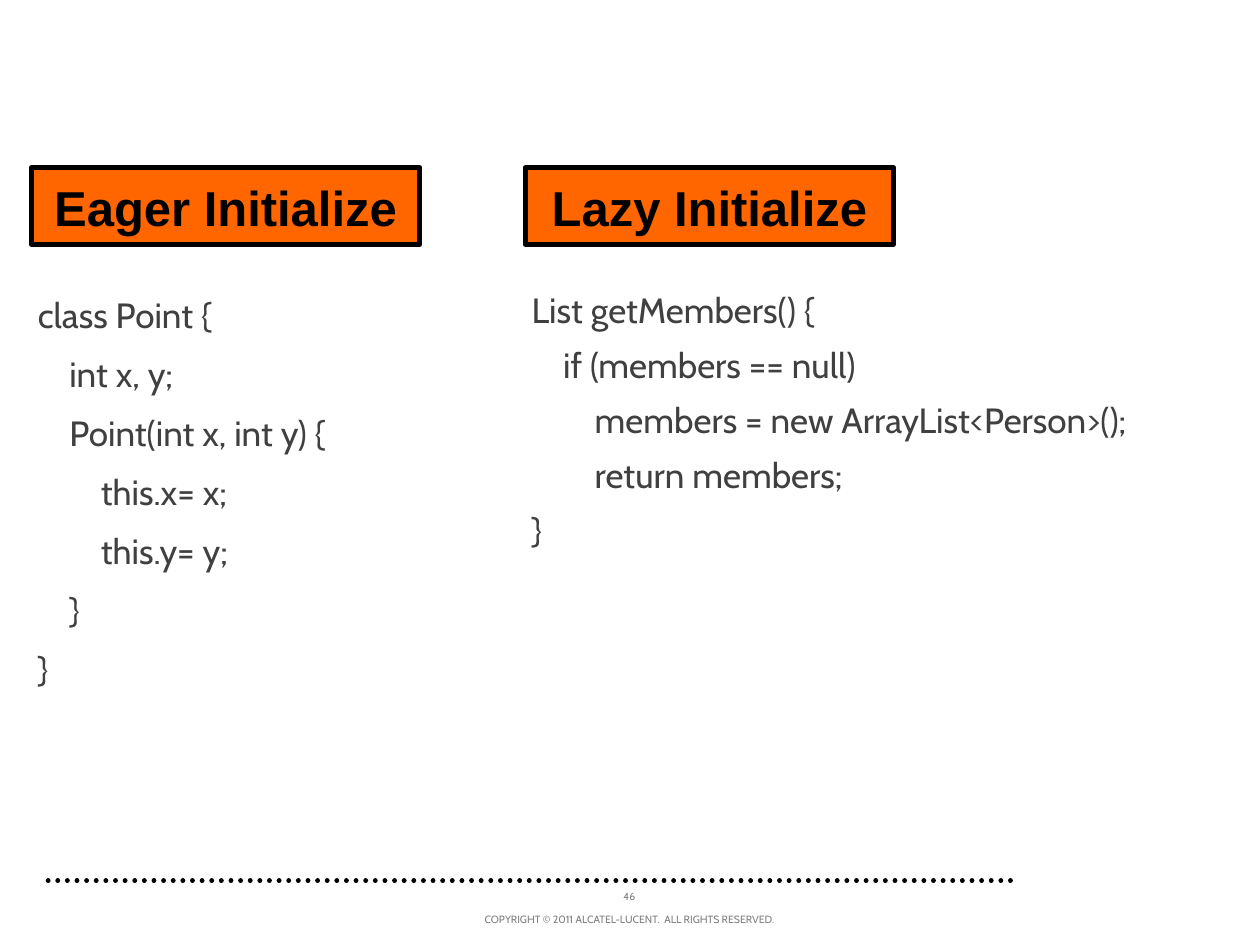
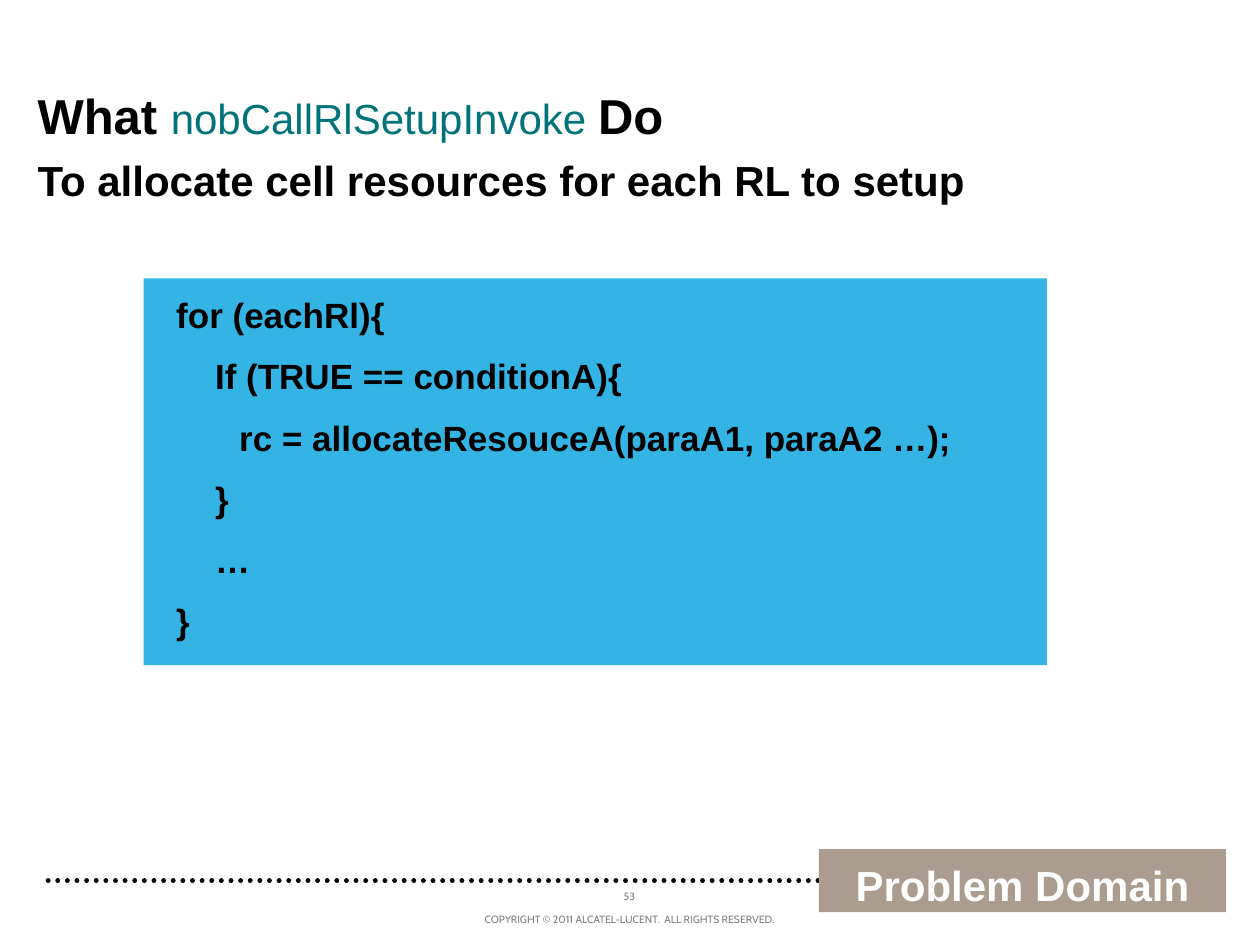
import pptx
import pptx.dml.color
import pptx.enum.dml
import pptx.enum.shapes
import pptx.enum.text
import pptx.oxml
import pptx.oxml.ns
import pptx.util
from dataclasses import dataclass

Inches = pptx.util.Inches
Pt = pptx.util.Pt
Align = pptx.enum.text.PP_ALIGN
Anchor = pptx.enum.text.MSO_ANCHOR

# Content
COPYRIGHT = "COPYRIGHT © 2011 ALCATEL-LUCENT.  ALL RIGHTS RESERVED."

INITIALIZERS = [
    {"heading": "Eager Initialize", "left": 0.25, "heading_width": 3.08,
     "code_size": (2.89, 3.68), "line_spacing": 1.0,
     "code": ["class Point {",
              "    int x, y;",
              "    Point(int x, int y) {",
              "        this.x= x;",
              "        this.y= y;",
              "    }",
              "}"]},
    {"heading": "Lazy Initialize", "left": 4.17, "heading_width": 2.92,
     "code_size": (5.67, 2.92), "line_spacing": 0.9,
     "code": ["List getMembers() {",
              "    if (members == null)",
              "        members = new ArrayList<Person>();",
              "        return members;",
              "}"]},
]

QUESTION = ("What ", "nobCallRlSetupInvoke ", "Do")
ANSWER = "To allocate cell resources for each RL to setup"
LOOP_CODE = ["for (eachRl){",
             "    If (TRUE == conditionA){",
             "\trc = allocateResouceA(paraA1, paraA2 …);",
             "    }",
             "    …",
             "}"]
DOMAIN_TAG = "Problem Domain"


@dataclass(frozen=True)
class Theme:
    black: str = "000000"
    white: str = "FFFFFF"
    code_grey: str = "404040"
    page_grey: str = "808080"
    copyright_grey: str = "7F7F7F"
    orange: str = "FF6600"
    blue: str = "34B4E4"
    teal: str = "00747A"
    taupe: str = "AA9C8F"
    heading_font: str = "Arial"
    body_font: str = "Cabin"
    title: int = 28
    subtitle: int = 24
    code: int = 20
    footer: int = 6
    label_insets: tuple = (0.1, 0.08, 0.1, 0)
    footer_insets: tuple = (0.1, 0.05, 0.1, 0.05)
    code_insets: tuple = (0.05, 0, 0, 0)


THEME = Theme()


def rgb(colour):
    return pptx.dml.color.RGBColor.from_string(colour)


def style_font(font, size, colour, face, bold=False):
    font.size = Pt(size)
    font.color.rgb = rgb(colour)
    font.name = face
    font.bold = bold


def write(shape, lines, size, colour, face=THEME.heading_font, bold=False,
          align=Align.LEFT, anchor=Anchor.TOP, insets=THEME.label_insets,
          before=0, after=0, line_spacing=1.0):
    frame = shape.text_frame
    frame.word_wrap = True
    frame.vertical_anchor = anchor
    (frame.margin_left, frame.margin_top,
     frame.margin_right, frame.margin_bottom) = map(Inches, insets)
    for index, line in enumerate(lines):
        paragraph = frame.add_paragraph() if index else frame.paragraphs[0]
        paragraph.add_run().text = line
        paragraph.alignment = align
        paragraph.line_spacing = line_spacing
        paragraph.space_before = Pt(before if index else 0)
        paragraph.space_after = Pt(after)
        style_font(paragraph.font, size, colour, face, bold)


def add_text(slide, place, lines, size, colour, **options):
    box = slide.shapes.add_textbox(*map(Inches, place))
    write(box, lines, size, colour, **options)


def add_panel(slide, place, fill, border=None):
    panel = slide.shapes.add_shape(
        pptx.enum.shapes.MSO_SHAPE.RECTANGLE, *map(Inches, place))
    panel.shadow.inherit = False
    panel.fill.solid()
    panel.fill.fore_color.rgb = rgb(fill)
    if border:
        panel.line.color.rgb = rgb(border)
        panel.line.width = Pt(3)
    else:
        panel.line.fill.background()
    return panel


def add_footer(slide, page):
    dots = slide.shapes.add_connector(
        pptx.enum.shapes.MSO_CONNECTOR.STRAIGHT,
        *map(Inches, (8.02, 6.99, 0.34, 6.99)))
    dots.line.color.rgb = rgb(THEME.black)
    dots.line.width = Pt(2.75)
    dots.line.dash_style = pptx.enum.dml.MSO_LINE.ROUND_DOT
    properties = dots._element.spPr
    properties.find(pptx.oxml.ns.qn("a:ln")).set("cap", "rnd")
    properties.append(pptx.oxml.parse_xml(
        f"<a:effectLst {pptx.oxml.ns.nsdecls('a')}/>"))

    small = {"face": THEME.body_font, "align": Align.CENTER,
             "insets": THEME.footer_insets}
    add_text(slide, (4.73, 6.95, 0.53, 0.26), [str(page)], THEME.footer,
             THEME.page_grey, anchor=Anchor.BOTTOM, **small)
    add_text(slide, (1.49, 7.2, 7.01, 0.25), [COPYRIGHT], THEME.footer,
             THEME.copyright_grey, **small)


def new_slide(deck, page):
    slide = deck.slides.add_slide(deck.slide_layouts[6])
    add_footer(slide, page)
    return slide


def build_initializers(deck):
    slide = new_slide(deck, 46)
    for side in INITIALIZERS:
        add_text(slide, (side["left"], 2.33, *side["code_size"]), side["code"],
                 THEME.code, THEME.code_grey, face=THEME.body_font,
                 insets=THEME.code_insets, before=3.7, after=6,
                 line_spacing=side["line_spacing"])
        heading = add_panel(slide, (side["left"], 1.33, side["heading_width"], 0.61),
                            THEME.orange, THEME.black)
        write(heading, [side["heading"]], THEME.title, THEME.black,
              bold=True, align=Align.CENTER)


def build_problem_domain(deck):
    slide = new_slide(deck, 53)

    # Loop listing on its panel
    add_panel(slide, (1.14, 2.21, 7.17, 3.07), THEME.blue)
    add_text(slide, (1.3, 2.25, 7.32, 2.93), LOOP_CODE, THEME.code,
             THEME.black, bold=True, before=11)

    # Question, with the function name set apart, and its answer
    question = slide.shapes.add_textbox(*map(Inches, (0.2, 0.6, 6.61, 0.57)))
    write(question, QUESTION[:1], THEME.title, THEME.black, bold=True)
    paragraph = question.text_frame.paragraphs[0]
    for words in QUESTION[1:]:
        paragraph.add_run().text = words
    style_font(paragraph.runs[1].font, THEME.subtitle, THEME.teal,
               THEME.heading_font)
    add_text(slide, (0.2, 1.15, 8.74, 0.5), [ANSWER], THEME.subtitle,
             THEME.black, bold=True)

    # Corner tag
    tag = add_panel(slide, (6.5, 6.74, 3.23, 0.5), THEME.taupe)
    write(tag, [DOMAIN_TAG], THEME.subtitle, THEME.white, bold=True,
          align=Align.CENTER)


def main():
    deck = pptx.Presentation()
    deck.slide_width = Inches(10)
    deck.slide_height = Inches(7.5)
    build_initializers(deck)
    build_problem_domain(deck)
    deck.save("out.pptx")


if __name__ == "__main__":
    main()
